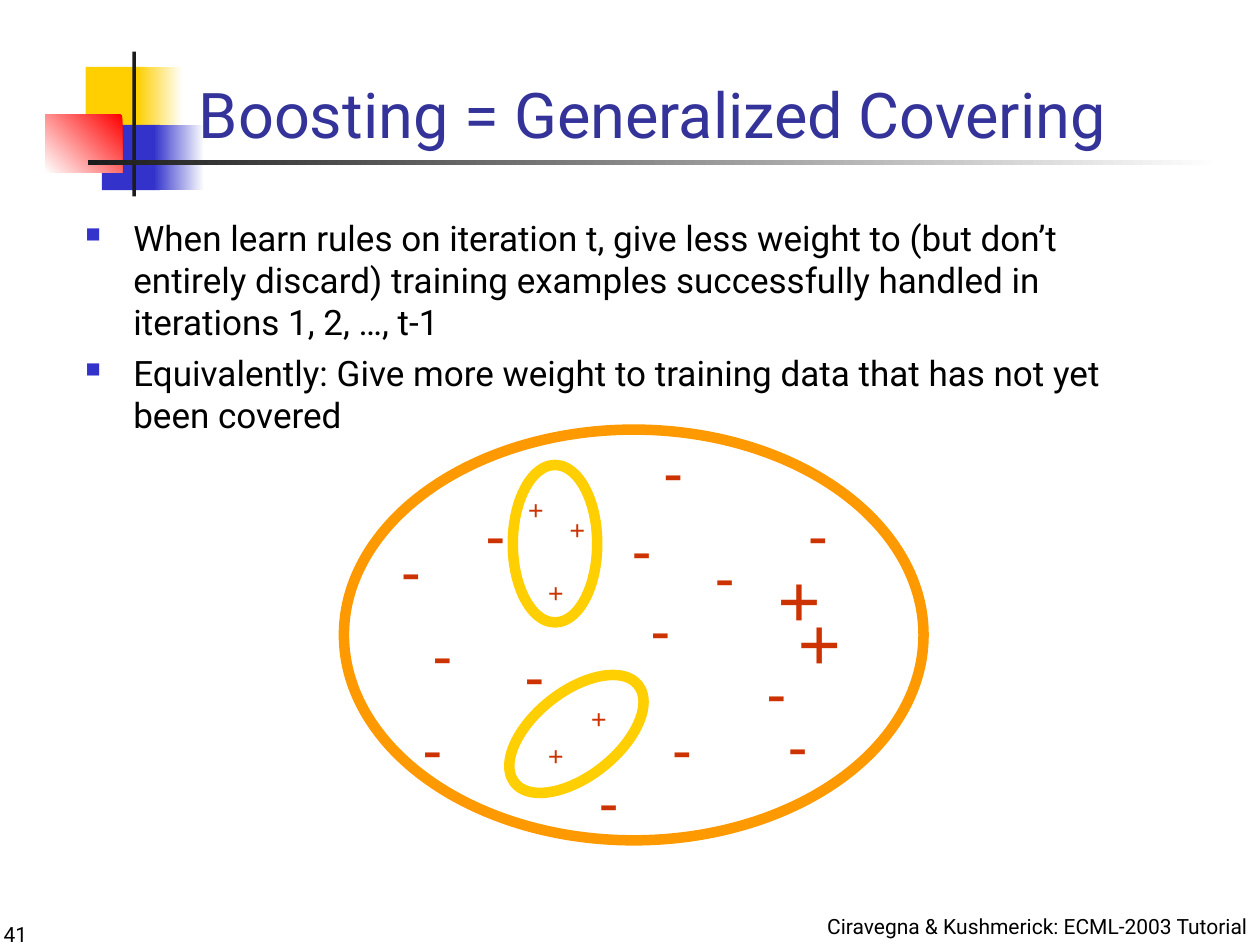
from lxml import etree
from pptx import Presentation
from pptx.dml.color import RGBColor
from pptx.enum import shapes, text
from pptx.oxml import ns
from pptx.util import Inches, Pt

YELLOW = RGBColor(0xFF, 0xCF, 0x01)
BLUE = RGBColor(0x33, 0x33, 0xCC)
RED = RGBColor(0xFF, 0x00, 0x00)
WHITE = RGBColor(0xFF, 0xFF, 0xFF)
CHARCOAL = RGBColor(0x1C, 0x1C, 0x1C)
NAVY = RGBColor(0x33, 0x33, 0x99)
BLACK = RGBColor(0x00, 0x00, 0x00)
ORANGE = RGBColor(0xFF, 0x99, 0x00)
RUST = RGBColor(0xCC, 0x33, 0x00)

presentation = Presentation()
presentation.slide_width, presentation.slide_height = Inches(10), Inches(7.5)
slide = presentation.slides.add_slide(presentation.slide_layouts[6])


def add_text(box, paragraphs, font, anchor=text.MSO_ANCHOR.TOP,
             alignment=text.PP_ALIGN.LEFT, wrap=True):
    """Add a text box and return its paragraphs."""
    frame = slide.shapes.add_textbox(*map(Inches, box)).text_frame
    frame.word_wrap = wrap
    frame.vertical_anchor = anchor
    frame.text = "\n".join(paragraphs)
    for paragraph in frame.paragraphs:
        paragraph.alignment = alignment
        run_font = paragraph.runs[0].font
        run_font.color.rgb = font["color"]
        for name in ("name", "size", "bold"):
            setattr(run_font, name, font.get(name))
    return frame.paragraphs


def add_outline(box, color, rotation=0):
    """Add an unfilled ellipse with a thick line."""
    shape = slide.shapes.add_shape(shapes.MSO_SHAPE.OVAL, *map(Inches, box))
    shape.shadow.inherit = False
    shape.fill.background()
    shape.line.color.rgb = color
    shape.line.width = Pt(6)
    shape.rotation = rotation


# Corner ornament and title rule: box, colours, gradient angle
ornament = [
    ((0.68, 0.53, 0.48, 0.52), [YELLOW], None),
    ((1.09, 0.53, 0.36, 0.52), [WHITE, YELLOW], 180),
    ((0.81, 0.99, 0.46, 0.52), [BLUE], None),
    ((1.22, 0.99, 0.4, 0.52), [WHITE, BLUE], 180),
    ((0.36, 0.91, 0.61, 0.46), [RED, WHITE], 225),
    ((1.05, 0.41, 0.03, 1.15), [CHARCOAL], None),
    ((0.7, 1.27, 9, 0.04), [WHITE, CHARCOAL], 180),
]
for box, colors, angle in ornament:
    shape = slide.shapes.add_shape(shapes.MSO_SHAPE.RECTANGLE, *map(Inches, box))
    shape.shadow.inherit = False
    shape.line.fill.background()
    if angle is None:
        shape.fill.solid()
        shape.fill.fore_color.rgb = colors[0]
    else:
        shape.fill.gradient()
        shape.fill.gradient_angle = angle
        for stop, color in zip(shape.fill.gradient_stops, colors):
            stop.color.rgb = color

# Title
add_text((1.48, 0, 8.52, 1.25), ["Boosting = Generalized Covering"],
         {"name": "Roboto", "size": Pt(36), "color": NAVY}, text.MSO_ANCHOR.BOTTOM)

# Bulleted body
bullets = add_text((0.58, 1.67, 8.75, 4.83), [
    "When learn rules on iteration t, give less weight to (but don’t entirely discard) "
    "training examples successfully handled in iterations 1, 2, …, t-1",
    "Equivalently: Give more weight to training data that has not yet been covered",
], {"name": "Roboto", "size": Pt(20), "color": BLACK})
for paragraph in bullets:
    properties = paragraph._p.get_or_add_pPr()
    properties.set("marL", str(Inches(0.38)))
    properties.set("indent", str(Inches(-0.38)))
    bullet_color = etree.SubElement(properties, ns.qn("a:buClr"))
    etree.SubElement(bullet_color, ns.qn("a:srgbClr"), val=str(BLUE))
    etree.SubElement(properties, ns.qn("a:buSzPct"), val="60000")
    etree.SubElement(properties, ns.qn("a:buChar"), char="■")
bullets[1].space_before = Pt(5)

# Whole example space, then the two covered regions
add_outline((2.73, 3.41, 4.6, 3.26), ORANGE)
add_outline((4.07, 3.69, 0.67, 1.25), YELLOW)
add_outline((4.24, 5.2, 0.67, 1.25), YELLOW, 51.7)

# Examples: sign, font size, box size, top-left corners
examples = [
    ("+", 44, (0.54, 0.84), [(6.07, 4.33), (6.23, 4.67)]),
    ("-", 32, (0.34, 0.64), [
        (5.58, 4.24), (3.76, 3.91), (3.34, 4.86), (4.07, 5.03), (5.07, 4.66),
        (5.24, 5.61), (5.99, 5.16), (6.16, 5.58), (6.32, 3.91), (5.17, 3.41),
        (4.92, 4.03), (3.09, 4.19), (3.26, 5.61), (4.66, 6.03)]),
    ("+", 16, (0.32, 0.37), [
        (4.09, 3.86), (4.25, 4.52), (4.42, 4.02), (4.59, 5.52), (4.25, 5.81)]),
]
for sign, size, extent, corners in examples:
    font = {"name": "Times New Roman", "size": Pt(size), "bold": True, "color": RUST}
    for corner in corners:
        add_text(corner + extent, [sign], font,
                 alignment=text.PP_ALIGN.CENTER, wrap=False)

# Footer and slide number
footer_font = {"name": "Roboto", "size": Pt(12), "color": BLACK}
add_text((4.83, 7, 5.17, 0.5), ["Ciravegna & Kushmerick: ECML-2003 Tutorial"],
         footer_font, text.MSO_ANCHOR.BOTTOM, text.PP_ALIGN.RIGHT)
add_text((-0.07, 7.06, 1, 0.5), ["41"], footer_font, text.MSO_ANCHOR.BOTTOM)

presentation.save("out.pptx")
